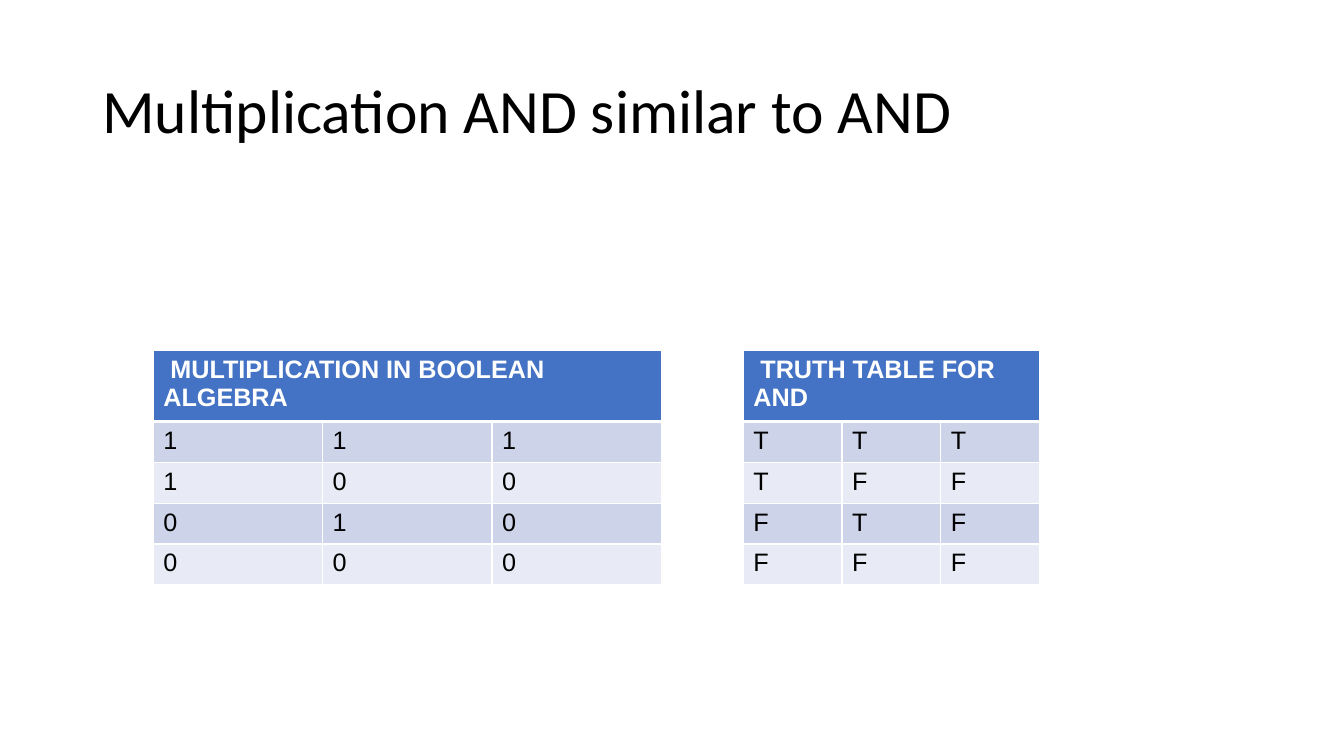
from dataclasses import dataclass

from lxml import etree
from pptx import Presentation
from pptx import util as u
from pptx.dml.color import RGBColor
from pptx.enum import text
from pptx.oxml import ns

SLIDE_W, SLIDE_H = u.Inches(13.333), u.Inches(7.5)
GRID_COLS, GRID_ROWS = 160, 90
WHITE, BLACK, HEADER = "FFFFFF", "000000", "4472C4"
BANDS = ("CDD4EA", "E8EBF5")
TABLE_TOP, BODY_ROW = 41.76, 4.87


@dataclass(frozen=True)
class LogicTable:
    heading: str
    left: float
    col_width: float
    header_height: float
    rows: tuple[str, ...]


TABLES = (
    LogicTable(" TRUTH TABLE FOR AND", 88.5, 11.75, BODY_ROW,
               ("TTT", "TFF", "FTF", "FFF")),
    LogicTable(" MULTIPLICATION IN BOOLEAN ALGEBRA", 18.25, 20.16, 8.28,
               ("111", "100", "010", "000")),
)


def x(cols: float) -> int:
    return round(SLIDE_W * cols / GRID_COLS)


def y(rows: float) -> int:
    return round(SLIDE_H * rows / GRID_ROWS)


def rgb(value: str) -> RGBColor:
    return RGBColor.from_string(value)


def style(p, font: str, size: float, color: str, bold: bool = False) -> None:
    p.font.name = font
    p.font.size = u.Pt(size)
    p.font.bold = bold
    p.font.color.rgb = rgb(color)


def add_borders(cell, top: float, bottom: float) -> None:
    tc_pr = cell._tc.get_or_add_tcPr()
    for side, width in (("L", 1), ("R", 1), ("T", top), ("B", bottom)):
        ln = etree.SubElement(tc_pr, ns.qn(f"a:ln{side}"), w=str(u.Pt(width)))
        fill = etree.SubElement(ln, ns.qn("a:solidFill"))
        etree.SubElement(fill, ns.qn("a:srgbClr"), val=WHITE)


def fill_cell(cell, value: str, row: int) -> None:
    header = row == 0
    add_borders(cell, 3 if row == 1 else 1, 3 if header else 1)
    cell.fill.solid()
    cell.fill.fore_color.rgb = rgb(HEADER if header else BANDS[(row - 1) % 2])
    cell.text = value
    style(cell.text_frame.paragraphs[0], "Arial", 18, WHITE if header else BLACK, header)


def add_title(s, title: str) -> None:
    tf = s.shapes.add_textbox(x(11), y(4.8), x(138), y(17.4)).text_frame
    tf.word_wrap = True
    tf.vertical_anchor = text.MSO_ANCHOR.MIDDLE
    p = tf.paragraphs[0]
    p.text = title
    p.line_spacing = 0.9
    style(p, "Calibri", 44, BLACK)


def add_logic_table(s, spec: LogicTable) -> None:
    n_rows, n_cols = len(spec.rows) + 1, len(spec.rows[0])
    height = spec.header_height + BODY_ROW * len(spec.rows)
    tbl = s.shapes.add_table(n_rows, n_cols, x(spec.left), y(TABLE_TOP),
                             x(spec.col_width * n_cols), y(height)).table
    for col in tbl.columns:
        col.width = x(spec.col_width)
    for i, row in enumerate(tbl.rows):
        row.height = y(BODY_ROW if i else spec.header_height)
    tbl.cell(0, 0).merge(tbl.cell(0, n_cols - 1))
    fill_cell(tbl.cell(0, 0), spec.heading, 0)
    for i, values in enumerate(spec.rows, 1):
        for j, value in enumerate(values):
            fill_cell(tbl.cell(i, j), value, i)


def main() -> None:
    prs = Presentation()
    prs.slide_width, prs.slide_height = SLIDE_W, SLIDE_H
    s = prs.slides.add_slide(prs.slide_layouts[6])
    add_title(s, "Multiplication AND similar to AND")
    for spec in TABLES:
        add_logic_table(s, spec)
    prs.save("out.pptx")


if __name__ == "__main__":
    main()
